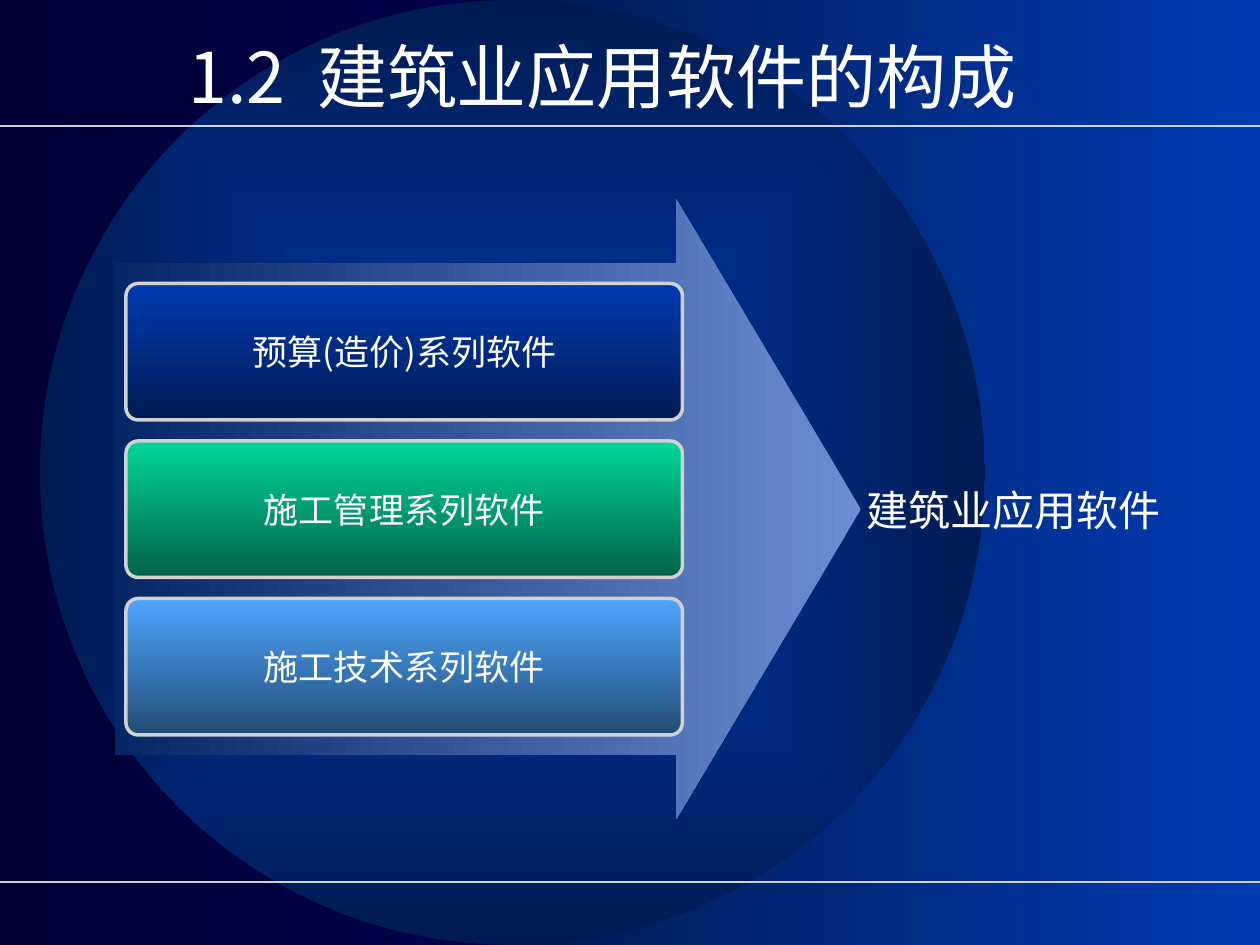
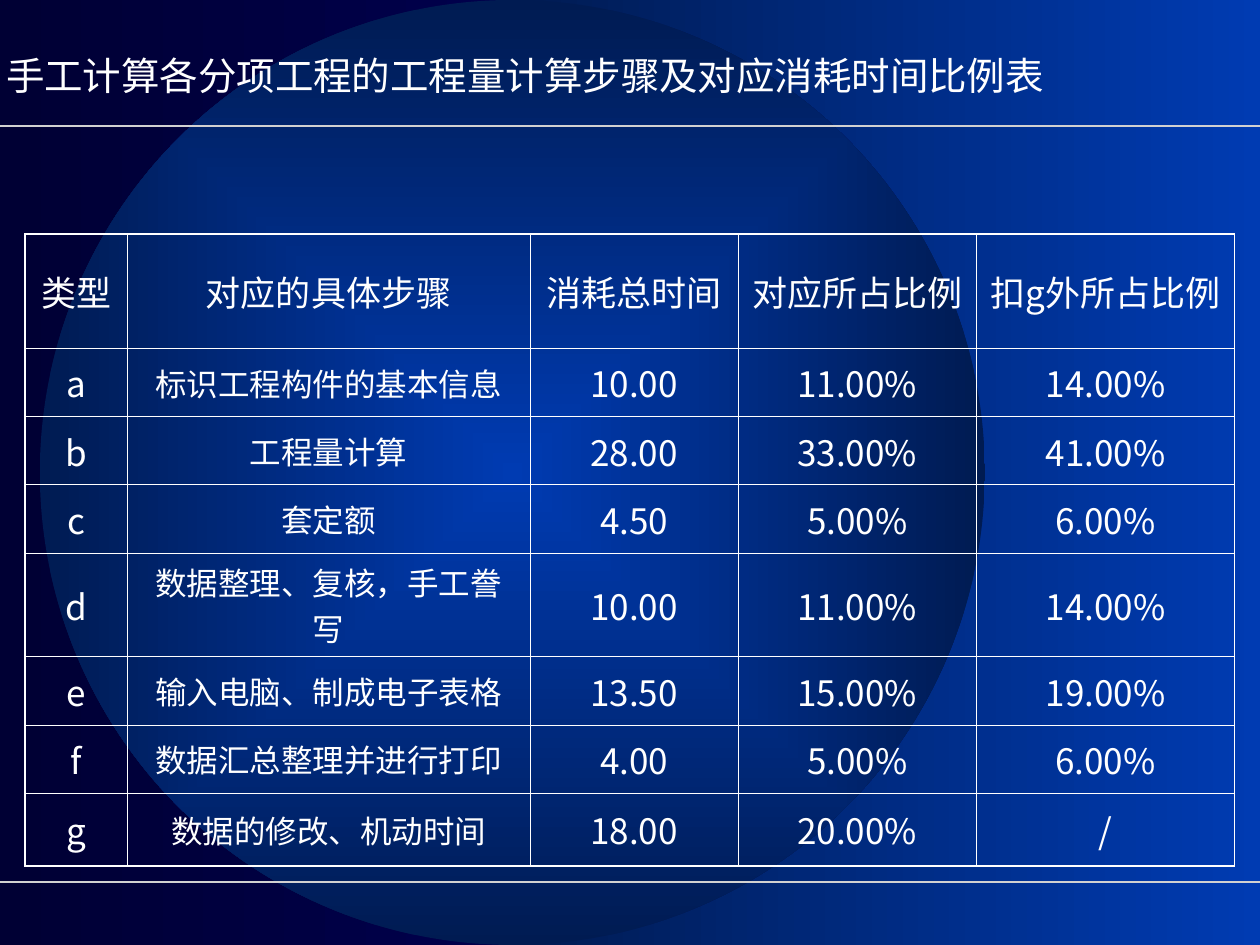
from lxml import etree
from pptx import Presentation
from pptx.dml.color import RGBColor
from pptx.enum.shapes import MSO_CONNECTOR, MSO_SHAPE
from pptx.enum.text import MSO_ANCHOR, MSO_AUTO_SIZE, PP_ALIGN
from pptx.oxml.ns import qn
from pptx.util import Inches, Pt

RECTANGLE, ELLIPSE = MSO_SHAPE.RECTANGLE, MSO_SHAPE.OVAL
ROUNDED, ARROW = MSO_SHAPE.ROUNDED_RECTANGLE, MSO_SHAPE.RIGHT_ARROW
STRAIGHT = MSO_CONNECTOR.STRAIGHT
CENTER, RIGHT = PP_ALIGN.CENTER, PP_ALIGN.RIGHT
MIDDLE, NO_FIT = MSO_ANCHOR.MIDDLE, MSO_AUTO_SIZE.NONE

CELL = 1 / 12
COLUMNS, ROWS = 120, 90
TITLE_LAYOUT = 5
CJK_FONT, LATIN_FONT = "Noto Sans CJK SC", "Arial"
COLORS = {
    "white": "FFFFFF", "rule": "D1D1D1",
    "night": "000072", "night dark": "000034",
    "blue": "003BB2", "blue dark": "001B52",
    "arrow": "6C8ED3", "arrow dark": "062765",
    "green": "00D69E", "green dark": "006248",
    "sky": "4DA6FF", "sky dark": "234C75",
}
SOFTWARE_SERIES = [
    ("预算(造价)系列软件", "blue", CJK_FONT),
    ("施工管理系列软件", "green", LATIN_FONT),
    ("施工技术系列软件", "sky", LATIN_FONT),
]
STEP_ROWS = [
    ("类型", "对应的具体步骤", "消耗总时间", "对应所占比例", "扣g外所占比例"),
    ("a", "标识工程构件的基本信息", "10.00", "11.00%", "14.00%"),
    ("b", "工程量计算", "28.00", "33.00%", "41.00%"),
    ("c", "套定额", "4.50", "5.00%", "6.00%"),
    ("d", "数据整理、复核，手工誊写", "10.00", "11.00%", "14.00%"),
    ("e", "输入电脑、制成电子表格", "13.50", "15.00%", "19.00%"),
    ("f", "数据汇总整理并进行打印", "4.00", "5.00%", "6.00%"),
    ("g", "数据的修改、机动时间", "18.00", "20.00%", "/"),
]
STEP_COLUMN_WIDTHS = [9.7, 38.4, 19.8, 22.7, 24.6]
STEP_ROW_HEIGHTS = [9.2] + [6.5] * 6 + [6.9]


def grid(*cells):
    """Convert grid cells to lengths."""
    return [Inches(count * CELL) for count in cells]


def color(name):
    """Return a palette colour."""
    return RGBColor.from_string(COLORS[name])


def set_gradient(fill, name, angle=180):
    """Fill from a colour to its dark partner; without an angle, from the centre."""
    fill.gradient()
    for stop, stop_name in zip(fill.gradient_stops, (name, f"{name} dark")):
        stop.color.rgb = color(stop_name)
    if angle is not None:
        fill.gradient_angle = angle


def set_center_path(shape):
    """Turn a linear gradient into a rectangular one around the centre."""
    linear = shape.element.spPr.find(qn("a:gradFill")).find(qn("a:lin"))
    gradient = linear.getparent()
    gradient.remove(linear)
    center_path = etree.SubElement(gradient, qn("a:path"), {"path": "rect"})
    sides = dict.fromkeys("ltrb", "50000")
    etree.SubElement(center_path, qn("a:fillToRect"), sides)


def write_text(frame, text, size, font_name=CJK_FONT, alignment=CENTER):
    """Write one formatted white paragraph."""
    paragraph = frame.paragraphs[0]
    paragraph.alignment = alignment
    run = paragraph.add_run()
    run.text = text
    for attribute, value in {"name": font_name, "size": Pt(size), "bold": False}.items():
        setattr(run.font, attribute, value)
    run.font.color.rgb = color("white")
    etree.SubElement(run.font._element, qn("a:ea"), {"typeface": CJK_FONT})


def add_block(slide, kind, cells, fill_name=None, angle=180, adjustments=()):
    """Add a preset shape without outline or shadow."""
    shape = slide.shapes.add_shape(kind, *grid(*cells))
    shape.shadow.inherit = False
    shape.line.fill.background()
    if fill_name:
        set_gradient(shape.fill, fill_name, angle)
    else:
        shape.fill.background()
    for index, value in enumerate(adjustments):
        shape.adjustments[index] = value
    return shape


def add_label(slide, cells, text, size, font_name, fill_name=None, wrap=True):
    """Add a rounded box with centred text, outlined when it is filled."""
    box = add_block(slide, ROUNDED, cells, fill_name, 270, [0.09])
    if fill_name:
        box.line.color.rgb = color("rule")
        box.line.width = Pt(2)
    box.text_frame.word_wrap = wrap
    box.text_frame.vertical_anchor = MIDDLE
    write_text(box.text_frame, text, size, font_name)


def add_rule(slide, row):
    """Add a thin line across the slide."""
    rule = slide.shapes.add_connector(STRAIGHT, *grid(0, row, COLUMNS, row))
    rule.line.color.rgb = color("rule")
    rule.line.width = Pt(1)
    etree.SubElement(rule.element.spPr, qn("a:effectLst"))
    return rule


def decorate_master(master, slide):
    """Build the shared backdrop on a slide and move it to the master."""
    set_gradient(master.background.fill, "night")
    panel = add_block(slide, RECTANGLE, (49, 0, 71, ROWS), "blue")
    disc = add_block(slide, ELLIPSE, (3.8, 0, ROWS, ROWS), "blue", None)
    set_center_path(disc)
    backdrop = [panel, disc, add_rule(slide, 12), add_rule(slide, 84)]
    for index, shape in enumerate(backdrop):
        shape.element.xpath("./*/p:cNvPr")[0].set("id", str(20 + index))
        master.shapes.element.insert(2 + index, shape.element)


def set_title(slide, text, size, left, width, font_name):
    """Place and write the right-aligned title."""
    title = slide.shapes.title
    places = grid(left, 1.7, width, 11)
    for attribute, value in zip(("left", "top", "width", "height"), places):
        setattr(title, attribute, value)
    frame_format = {"auto_size": NO_FIT, "vertical_anchor": MIDDLE, "word_wrap": True}
    for attribute, value in frame_format.items():
        setattr(title.text_frame, attribute, value)
    write_text(title.text_frame, text, size, font_name, RIGHT)


def set_borders(cell, thick_sides):
    """Draw white cell borders, thicker on the table's outer sides."""
    properties = cell._tc.get_or_add_tcPr()
    for side in "LRTB":
        width = Pt(1.08 if side in thick_sides else 0.45)
        line = etree.SubElement(properties, qn(f"a:ln{side}"), {"w": str(int(width))})
        fill = etree.SubElement(line, qn("a:solidFill"))
        etree.SubElement(fill, qn("a:srgbClr"), {"val": COLORS["white"]})


def add_steps_table(slide, left, top):
    """Add the transparent table of steps and time shares."""
    row_count, column_count = len(STEP_ROWS), len(STEP_COLUMN_WIDTHS)
    size = sum(STEP_COLUMN_WIDTHS), sum(STEP_ROW_HEIGHTS)
    table = slide.shapes.add_table(row_count, column_count, *grid(left, top, *size)).table
    table.first_row = table.horz_banding = False
    for column, width in zip(table.columns, grid(*STEP_COLUMN_WIDTHS)):
        column.width = width
    for row, height in zip(table.rows, grid(*STEP_ROW_HEIGHTS)):
        row.height = height
    for row_index, texts in enumerate(STEP_ROWS):
        for column_index, text in enumerate(texts):
            cell = table.cell(row_index, column_index)
            outer = {"L": column_index == 0, "R": column_index == column_count - 1,
                     "T": row_index == 0, "B": row_index == row_count - 1}
            set_borders(cell, [side for side, is_outer in outer.items() if is_outer])
            cell.fill.background()
            cell.vertical_anchor = MIDDLE
            is_step = row_index > 0 and column_index == 1
            write_text(cell.text_frame, text, 18 if is_step else 20)


def build_software_slide(slide):
    """Show three software series leading to the whole."""
    set_title(slide, "1.2  建筑业应用软件的构成", 40, 4, 94, CJK_FONT)
    add_block(slide, ARROW, (11, 19, 71, 59), "arrow", 180, [0.793, 0.298])
    for index, (text, fill_name, font_name) in enumerate(SOFTWARE_SERIES):
        cells = (12, 27 + 15 * index, 53, 13)
        add_label(slide, cells, text, 20, font_name, fill_name, wrap=False)
    add_label(slide, (80, 40, 33, 17), "建筑业应用软件", 24, LATIN_FONT)


def build_steps_slide(slide):
    """Show the time share of each manual step."""
    title = "手工计算各分项工程的工程量计算步骤及对应消耗时间比例表"
    set_title(slide, title, 22, -2.4, 103, LATIN_FONT)
    add_steps_table(slide, 2.4, 22.3)


def main():
    """Build and save the presentation."""
    presentation = Presentation()
    presentation.slide_width, presentation.slide_height = grid(COLUMNS, ROWS)
    layout = presentation.slide_layouts[TITLE_LAYOUT]
    software_slide, steps_slide = [presentation.slides.add_slide(layout) for _ in range(2)]
    decorate_master(presentation.slide_master, software_slide)
    build_software_slide(software_slide)
    build_steps_slide(steps_slide)
    presentation.save("out.pptx")


if __name__ == "__main__":
    main()
